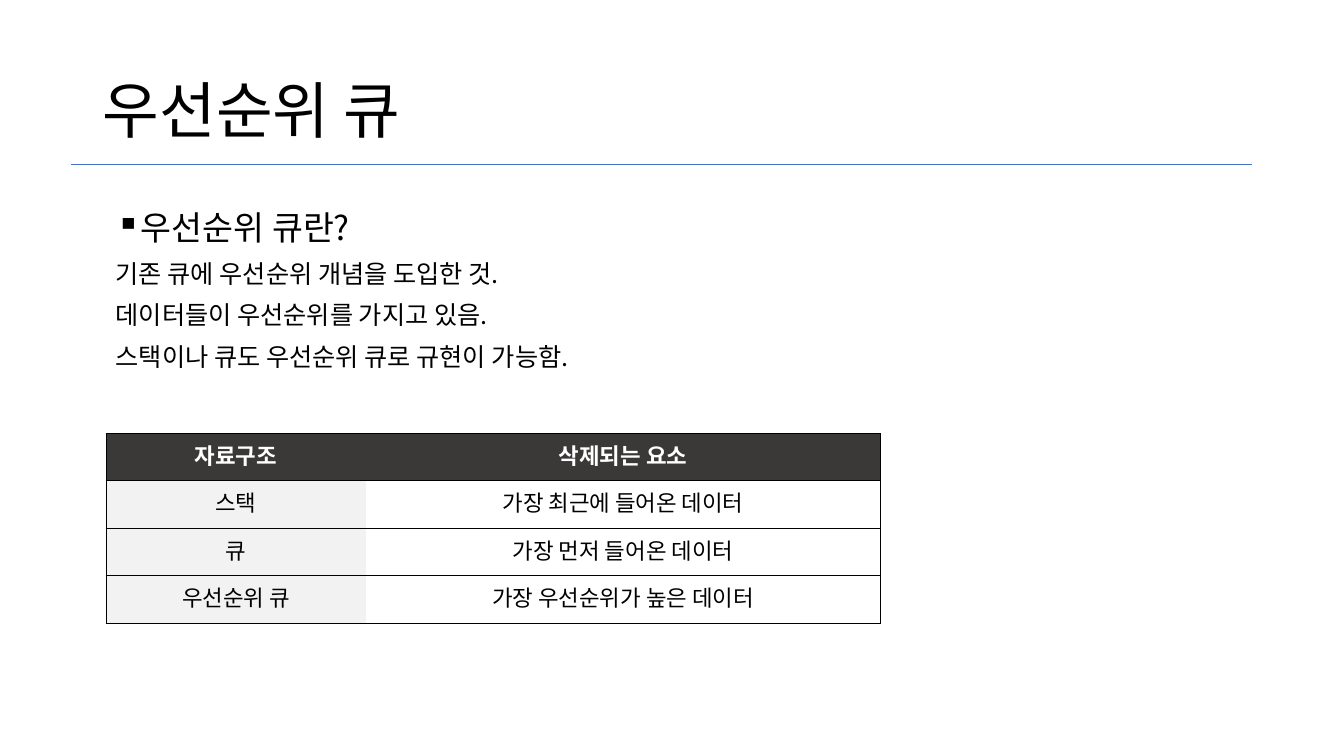
from lxml import etree
from pptx import Presentation
from pptx.dml.color import RGBColor
from pptx.enum.shapes import MSO_CONNECTOR
from pptx.enum.text import MSO_ANCHOR, PP_ALIGN
from pptx.oxml.ns import qn
from pptx.util import Inches, Pt

STRAIGHT = MSO_CONNECTOR.STRAIGHT
TOP, MIDDLE = MSO_ANCHOR.TOP, MSO_ANCHOR.MIDDLE
LEFT, CENTER = PP_ALIGN.LEFT, PP_ALIGN.CENTER
FONT = "Noto Sans CJK KR"
COLORS = {
    "text": "000000",
    "white": "FFFFFF",
    "rule": "4472C4",
    "header": "3B3838",
    "label": "F2F2F2",
}
DEFINITION = [
    "기존 큐에 우선순위 개념을 도입한 것.",
    "데이터들이 우선순위를 가지고 있음.",
    "스택이나 큐도 우선순위 큐로 규현이 가능함.",
]
REMOVALS = [
    ("자료구조", "삭제되는 요소"),
    ("스택", "가장 최근에 들어온 데이터"),
    ("큐", "가장 먼저 들어온 데이터"),
    ("우선순위 큐", "가장 우선순위가 높은 데이터"),
]
COLUMN_WIDTHS = (2.58, 5.1)
ROW_HEIGHT = 0.47


def color(name):
    return RGBColor.from_string(COLORS[name])


def write(para, text, size=18, ink="text", bold=False, align=LEFT,
          line_spacing=None, before=0, bullet=None):
    if bullet:
        properties = para._p.get_or_add_pPr()
        properties.set("marL", str(Inches(0.25)))
        properties.set("indent", str(-Inches(0.25)))
        etree.SubElement(properties, qn("a:buChar")).set("char", bullet)
    para.alignment = align
    para.space_before = Pt(before)
    if line_spacing:
        para.line_spacing = line_spacing
    span = para.add_run()
    span.text = text
    span.font.name = FONT
    span.font.size = Pt(size)
    span.font.bold = bold
    span.font.color.rgb = color(ink)
    etree.SubElement(span._r.get_or_add_rPr(), qn("a:ea")).set("typeface", FONT)


def add_text_frame(page, left, top, width, height, anchor=TOP):
    box = page.shapes.add_textbox(
        Inches(left), Inches(top), Inches(width), Inches(height))
    box.text_frame.word_wrap = True
    box.text_frame.vertical_anchor = anchor
    return box.text_frame


def add_rule(page, left, right, height):
    rule = page.shapes.add_connector(
        STRAIGHT, Inches(left), Inches(height), Inches(right), Inches(height))
    rule.line.color.rgb = color("rule")
    rule.line.width = Pt(0.5)
    etree.SubElement(rule._element.spPr, qn("a:effectLst"))


def set_borders(cell, visible):
    properties = cell._tc.get_or_add_tcPr()
    for side in "LRTB":
        border = etree.SubElement(properties, qn(f"a:ln{side}"))
        if side in visible:
            border.set("w", str(Pt(0.5)))
            fill = etree.SubElement(border, qn("a:solidFill"))
            etree.SubElement(fill, qn("a:srgbClr")).set("val", COLORS["text"])
        else:
            etree.SubElement(border, qn("a:noFill"))


def add_removal_table(page, left, top):
    table = page.shapes.add_table(
        len(REMOVALS), len(COLUMN_WIDTHS), Inches(left), Inches(top),
        Inches(sum(COLUMN_WIDTHS)), Inches(ROW_HEIGHT * len(REMOVALS))).table
    table.horz_banding = False
    for column, width in zip(table.columns, COLUMN_WIDTHS):
        column.width = Inches(width)
    for row_index, texts in enumerate(REMOVALS):
        table.rows[row_index].height = Inches(ROW_HEIGHT)
        is_header = row_index == 0
        for column_index, text in enumerate(texts):
            cell = table.cell(row_index, column_index)
            set_borders(cell, "TB" + "LR"[column_index])
            body_fill = ("label", "white")[column_index]
            cell.fill.solid()
            cell.fill.fore_color.rgb = color("header" if is_header else body_fill)
            write(cell.text_frame.paragraphs[0], text, size=16, align=CENTER,
                  ink="white" if is_header else "text", bold=is_header)


def main():
    deck = Presentation()
    deck.slide_width, deck.slide_height = Inches(13.33), Inches(7.5)
    page = deck.slides.add_slide(deck.slide_layouts[6])

    title = add_text_frame(page, 0.92, 0.4, 11.5, 1.45, anchor=MIDDLE)
    write(title.paragraphs[0], "우선순위 큐", size=44, line_spacing=0.9)

    body = add_text_frame(page, 1.05, 2.05, 8.54, 3.6)
    write(body.paragraphs[0], "우선순위 큐란?", size=24, line_spacing=0.9, bullet="▪")
    for sentence in DEFINITION:
        write(body.add_paragraph(), sentence, line_spacing=0.9, before=10)

    add_rule(page, 0.7, 12.42, 1.63)
    add_removal_table(page, 1.05, 4.3)
    deck.save("out.pptx")


if __name__ == "__main__":
    main()
